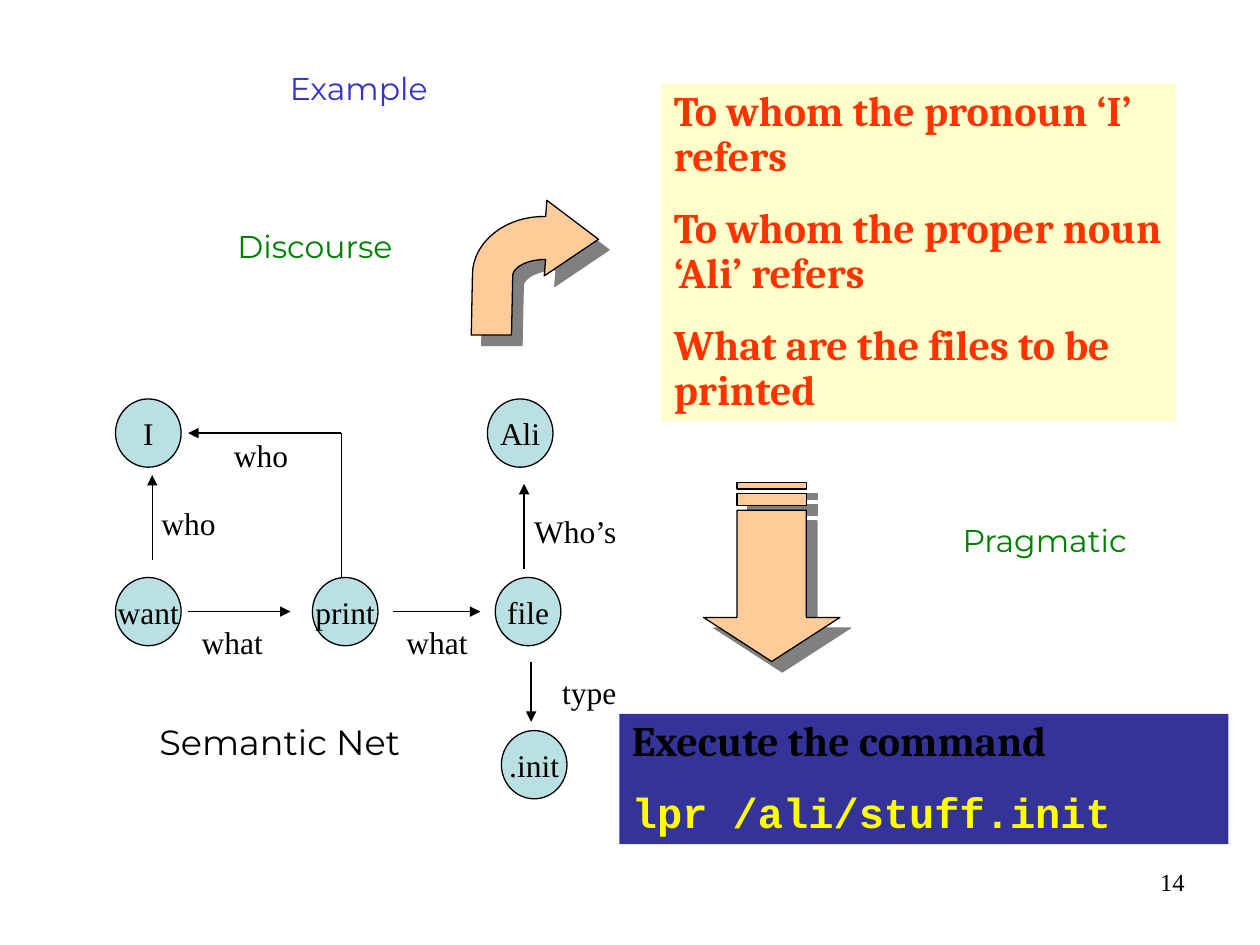
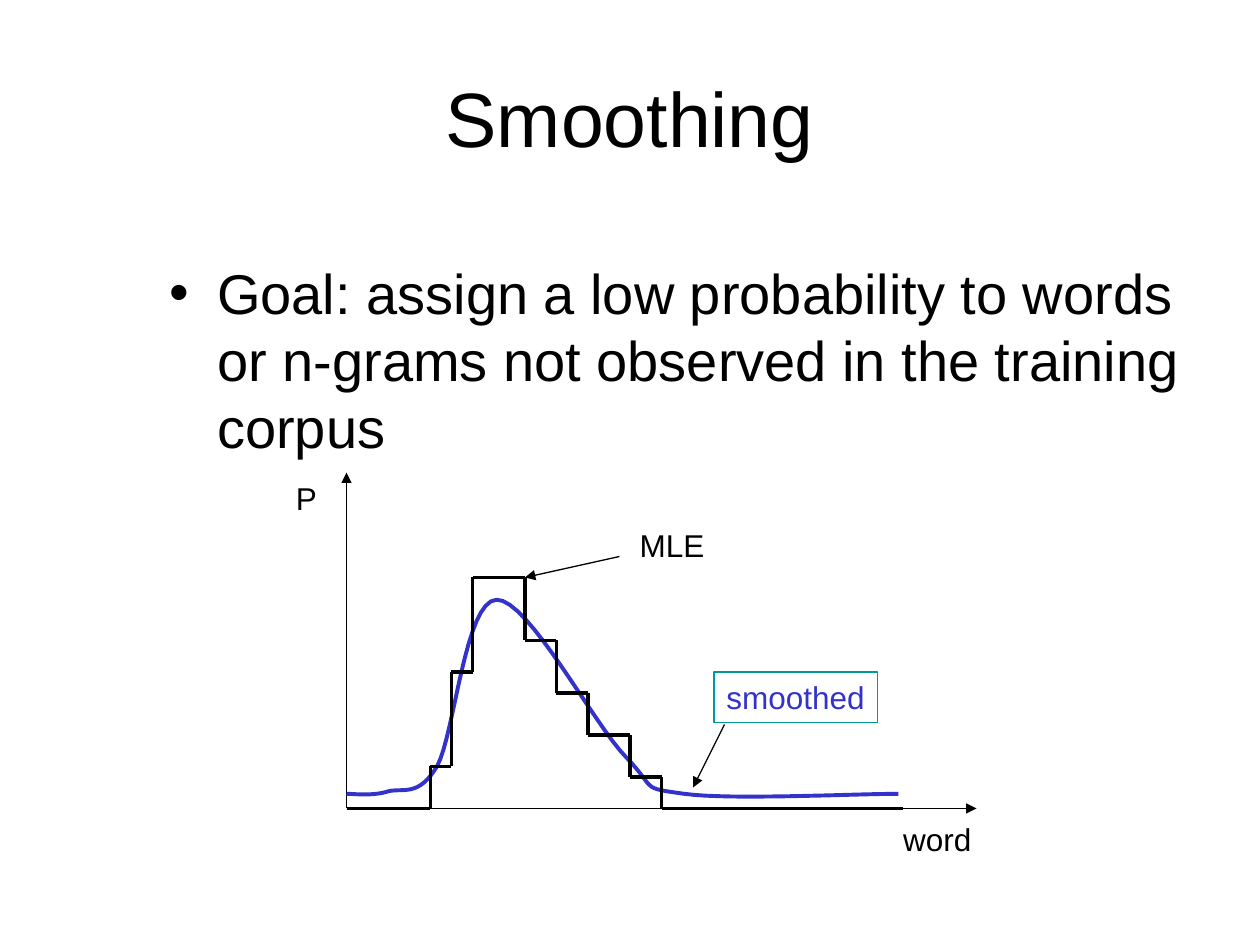
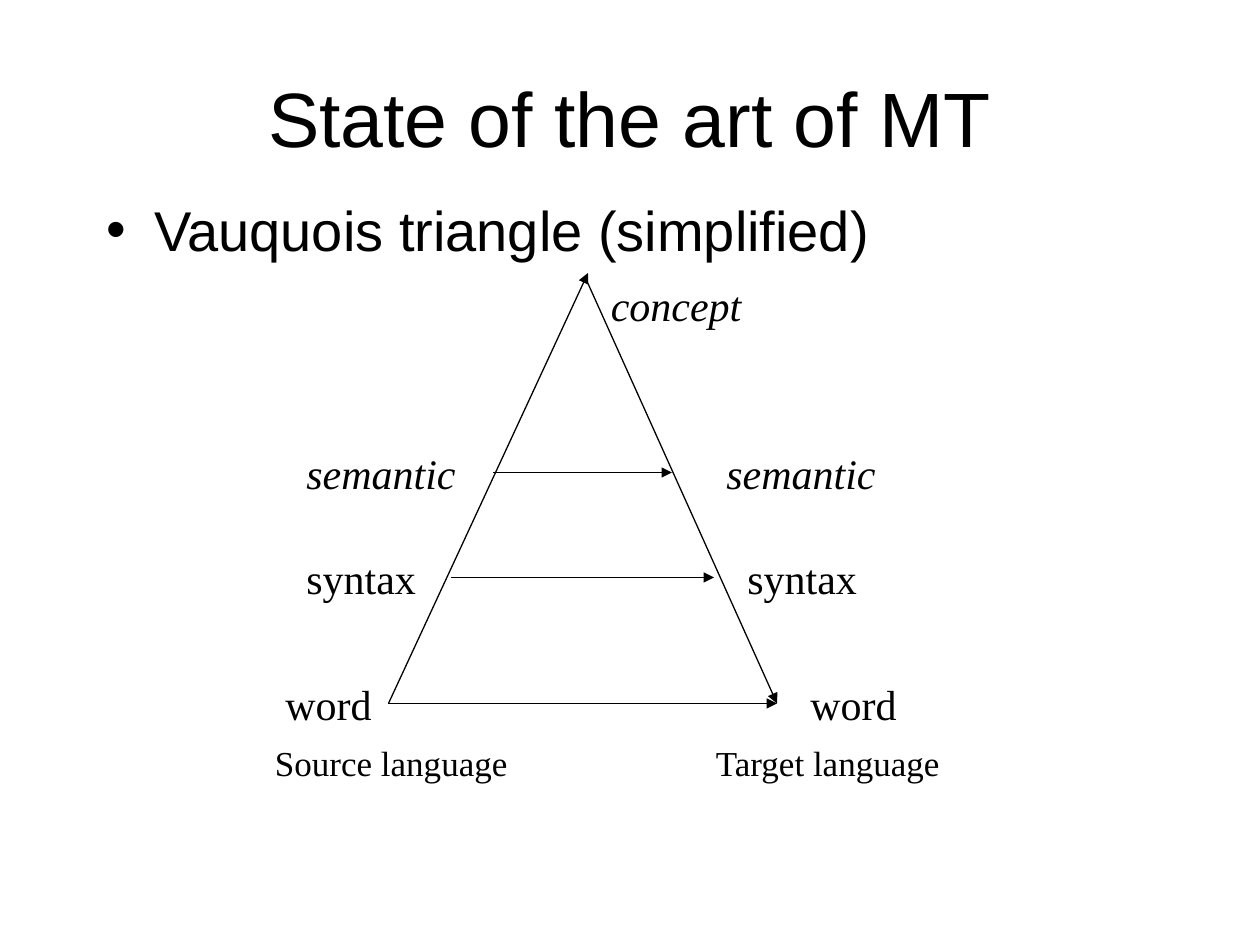
from lxml.etree import SubElement
from pptx import Presentation
from pptx.dml.color import RGBColor
from pptx.enum.shapes import MSO_CONNECTOR, MSO_SHAPE
from pptx.enum.text import MSO_ANCHOR, PP_ALIGN
from pptx.oxml.ns import qn
from pptx.util import Pt

COLORS = {
    "ink": "000000", "node": "BBE0E3", "blue": "3333CC", "green": "008000",
    "note": "FFFFCC", "question": "FF3300", "navy": "333399",
    "command": "FFFF00", "arrow": "FFCC99", "shadow": "808080", "teal": "009999",
}
SERIF, SANS, ROUND = "Times New Roman", "Arial", "Montserrat"
HEADING, CODE = "Cambria", "Courier New"
THIN, THICK = 0.74, 2.24
NODE_SIZE = (37.5, 39)


def rgb(name):
    """Look up a named colour."""
    return RGBColor.from_string(COLORS[name])


def paint(shape, fill=None, line=None, width=THIN):
    """Set fill and outline of a shape and remove its theme shadow."""
    shape.shadow.inherit = False
    if fill:
        shape.fill.solid()
        shape.fill.fore_color.rgb = rgb(fill)
    else:
        shape.fill.background()
    if line:
        shape.line.color.rgb = rgb(line)
        shape.line.width = Pt(width)
    else:
        shape.line.fill.background()


def write(shape, text, size=18, font=SERIF, color="ink", bold=False, italic=False,
          align=PP_ALIGN.LEFT, anchor=MSO_ANCHOR.TOP, wrap=True, before=0, spacing=None):
    """Fill a shape with text, one paragraph per line, in one style."""
    frame = shape.text_frame
    frame.text = text
    frame.word_wrap = wrap
    frame.vertical_anchor = anchor
    for para in frame.paragraphs:
        para.alignment = align
        para.space_before = Pt(before)
        if spacing:
            para.line_spacing = spacing
        for span in para.runs:
            span.font.size = Pt(size)
            span.font.name = font
            span.font.bold = bold
            span.font.italic = italic
            span.font.color.rgb = rgb(color)
    return frame


def add_text(page, area, text, **style):
    """Add a text box; area is left, top, width, height."""
    box = page.shapes.add_textbox(*map(Pt, area))
    return write(box, text, **style)


def add_panel(page, area, text, fill=None, line=None, **style):
    """Add a rectangle that carries text."""
    box = page.shapes.add_shape(MSO_SHAPE.RECTANGLE, *map(Pt, area))
    paint(box, fill, line)
    return write(box, text, **style)


def add_node(page, left, top, text):
    """Add one round node of the semantic net."""
    node = page.shapes.add_shape(MSO_SHAPE.OVAL, *map(Pt, (left, top, *NODE_SIZE)))
    paint(node, "node", "ink")
    write(node, text, align=PP_ALIGN.CENTER, anchor=MSO_ANCHOR.MIDDLE, wrap=False)


def add_relation(page, left, top, text):
    """Add the centred name of a relation, with side insets off so it stays on one line."""
    frame = add_text(page, (left, top, 58.5, 24.5), text, align=PP_ALIGN.CENTER,
                     anchor=MSO_ANCHOR.MIDDLE, wrap=False)
    frame.margin_left = frame.margin_right = 0


def add_line(page, start, end, arrow=True, width=THIN):
    """Add a straight line, by default with an arrowhead at its end."""
    line = page.shapes.add_connector(MSO_CONNECTOR.STRAIGHT, *map(Pt, (*start, *end)))
    line.line.color.rgb = rgb("ink")
    line.line.width = Pt(width)
    if arrow:
        SubElement(line.line._get_or_add_ln(), qn("a:tailEnd"), type="triangle")
    SubElement(line._element.spPr, qn("a:effectLst"))


def bezier(start, first, second, end, steps=16):
    """Return points along a cubic curve, without its start."""
    points = []
    for step in range(1, steps + 1):
        t = step / steps
        weights = ((1 - t) ** 3, 3 * t * (1 - t) ** 2, 3 * t * t * (1 - t), t ** 3)
        points.append(tuple(sum(w * p[axis] for w, p in zip(weights, (start, first, second, end)))
                            for axis in (0, 1)))
    return points


def add_outline(page, contours, close=True):
    """Add a freeform made of one or more contours."""
    contours = [[(Pt(x), Pt(y)) for x, y in contour] for contour in contours]
    builder = page.shapes.build_freeform(*contours[0][0], scale=1.0)
    for index, contour in enumerate(contours):
        if index:
            builder.move_to(*contour[0])
        builder.add_line_segments(contour[1:], close=close)
    return builder.convert_to_shape()


def add_block_arrow(page, contours):
    """Add a peach block arrow with a hard shadow to the lower right."""
    arrow = add_outline(page, contours)
    paint(arrow, "arrow", "ink")
    effects = arrow._element.spPr.find(qn("a:effectLst"))
    shadow = SubElement(effects, qn("a:outerShdw"), dist=str(Pt(8.5)), dir="2700000",
                        algn="ctr", rotWithShape="0")
    SubElement(shadow, qn("a:srgbClr"), val=COLORS["shadow"])


def add_title(page, text):
    """Add the centred slide title."""
    add_text(page, (36, 21.6, 648, 90), text, size=44, font=SANS,
             align=PP_ALIGN.CENTER, anchor=MSO_ANCHOR.MIDDLE)


def add_bullet(page, area, text):
    """Add body text with a hanging bullet."""
    frame = add_text(page, area, text, size=32, font=SANS, before=8)
    properties = frame.paragraphs[0]._p.get_or_add_pPr()
    properties.set("marL", str(Pt(27)))
    properties.set("indent", str(-Pt(27)))
    SubElement(properties, qn("a:buFont"), typeface=SANS)
    SubElement(properties, qn("a:buChar"), char="•")


def build_example(page):
    """Semantic net with its discourse and pragmatic readings."""
    add_text(page, (516, 492, 168, 37.5), "14", size=14, align=PP_ALIGN.RIGHT)
    for left, top, text in ((66, 228, "I"), (66, 330, "want"), (178.5, 330, "print"),
                            (278.5, 228, "Ali"), (286.5, 417.5, ".init"), (283, 330, "file")):
        add_node(page, left, top, text)
    for start, end in (((87, 320), (87, 271.5)), ((107.5, 349.5), (166, 349.5)),
                       ((224.5, 349.5), (274.5, 349.5)), ((299.5, 325), (299.5, 276.5)),
                       ((303.5, 378.5), (303.5, 412.5)), ((195, 247.5), (107.5, 247.5))):
        add_line(page, start, end)
    add_line(page, (195, 330), (195, 247.5), arrow=False)
    for left, top, text in ((78.5, 286.5, "who"), (103.5, 354.5, "what"), (120, 247.5, "who"),
                            (299.5, 291, "Who’s"), (220.5, 354.5, "what"), (307.5, 383, "type")):
        add_relation(page, left, top, text)
    add_text(page, (84, 408, 180, 31.5), "Semantic Net", size=20, font=ROUND, before=12.5)

    heading = dict(size=24, font=HEADING, bold=True, before=15, spacing=0.9)
    add_panel(page, (378, 48, 294, 193), "To whom the pronoun ‘I’ refers\n"
              "To whom the proper noun ‘Ali’ refers\nWhat are the files to be printed",
              fill="note", color="question", **heading)
    frame = add_panel(page, (354, 408, 348, 74.5), "Execute the command\nlpr /ali/stuff.init",
                      fill="navy", **heading)
    command = frame.paragraphs[1].runs[0].font
    command.name = CODE
    command.color.rgb = rgb("command")

    outer = bezier((311.8, 123.8), (289.4, 123.1), (270, 138.2), (270, 157))
    inner = bezier((293, 157.7), (293, 152.6), (301.7, 148.3), (311.8, 148.3))
    add_block_arrow(page, [[(342, 136.8), (312.5, 114.5), (311.8, 123.8), *outer,
                            (269.3, 191.5), (292.3, 191.5), (293, 157.7), *inner, (311, 157.7)]])
    left, right = 421.2, 460.8
    stripes = [[(right, top), (left, top), (left, bottom), (right, bottom)]
               for top, bottom in ((282.2, 288.7), (275.8, 279.4))]
    add_block_arrow(page, [[(480, 352.8), (right, 352.8), (right, 291.6), (left, 291.6),
                            (left, 352.8), (402, 352.8), (441, 378)], *stripes])

    for area, text, color in (((102, 126, 156, 60), "Discourse", "green"),
                              ((504, 294, 186, 72), "Pragmatic", "green"),
                              ((120, 36, 170, 69), "Example", "blue")):
        add_text(page, area, text, font=ROUND, color=color, align=PP_ALIGN.CENTER)


def build_smoothing(page):
    """Stepped and smoothed word probabilities."""
    add_title(page, "Smoothing")
    add_bullet(page, (90, 144, 612, 324), "Goal: assign a low probability to words "
               "or n-grams not observed in the training corpus")
    origin = (198, 462)
    add_line(page, origin, (198, 270))
    add_line(page, origin, (558, 462))
    for area, text in (((509, 465, 56, 29), "word"), ((162, 270, 28, 29), "P"),
                       ((358.5, 297, 56, 29), "MLE")):
        add_text(page, area, text, font=SANS, wrap=False)

    curve = [(198, 453.6)]
    for first, second, end in (((202.3, 453.6), (213.1, 455), (221.8, 452.2)),
                               ((230.4, 450), (239, 455.8), (249.8, 437.8)),
                               ((259.9, 419), (265.7, 343.4), (283.7, 342.7)),
                               ((301.7, 342), (339.8, 414.7), (357.8, 432.7)),
                               ((375.8, 451.4), (365, 450), (391, 453.6)),
                               ((416.9, 457.2), (488.2, 453.6), (513.4, 453.6))):
        curve += bezier(curve[-1], first, second, end)
    paint(add_outline(page, [curve], close=False), line="blue", width=THICK)

    add_line(page, (354, 318), (300, 330))
    add_line(page, (414, 414), (396, 450))
    add_panel(page, (408, 384, 93.5, 29), "smoothed", line="teal", font=SANS,
              color="blue", wrap=False)

    corners = [origin]
    for x, level in ((246, 438), (258, 384), (270, 330), (300, 366), (318, 396),
                     (336, 420), (360, 444), (378, 462)):
        corners += [(x, corners[-1][1]), (x, level)]
    corners.append((516, 462))
    for start, end in zip(corners, corners[1:]):
        add_line(page, start, end, arrow=False, width=THICK)


def build_translation(page):
    """Vauquois triangle from source to target language."""
    add_title(page, "State of the art of MT")
    add_bullet(page, (54, 108, 612, 342), "Vauquois triangle (simplified)")
    for left, text in ((150, "Source language"), (402, "Target language")):
        add_text(page, (left, 420, 156, 31.5), text, size=20, before=12.5)
    for start, end in (((222, 402), (444, 402)), ((222, 402), (336, 156)),
                       ((336, 162), (444, 402)), ((282, 270), (384, 270)),
                       ((258, 330), (408, 330))):
        add_line(page, start, end)
    for left, top, width, text, italic in (
            (156, 384, 66, "word", False), (456, 384, 72, "word", False),
            (168, 252, 114, "semantic", True), (408, 252, 114, "semantic", True),
            (342, 156, 144, "concept", True),
            (168, 312, 102, "syntax", False), (420, 312, 102, "syntax", False)):
        add_text(page, (left, top, width, 36), text, size=24, italic=italic, before=15)


def main():
    """Build the deck and save it."""
    deck = Presentation()
    deck.slide_width, deck.slide_height = Pt(720), Pt(540)
    for build in (build_example, build_smoothing, build_translation):
        build(deck.slides.add_slide(deck.slide_layouts[6]))
    deck.save("out.pptx")


main()
